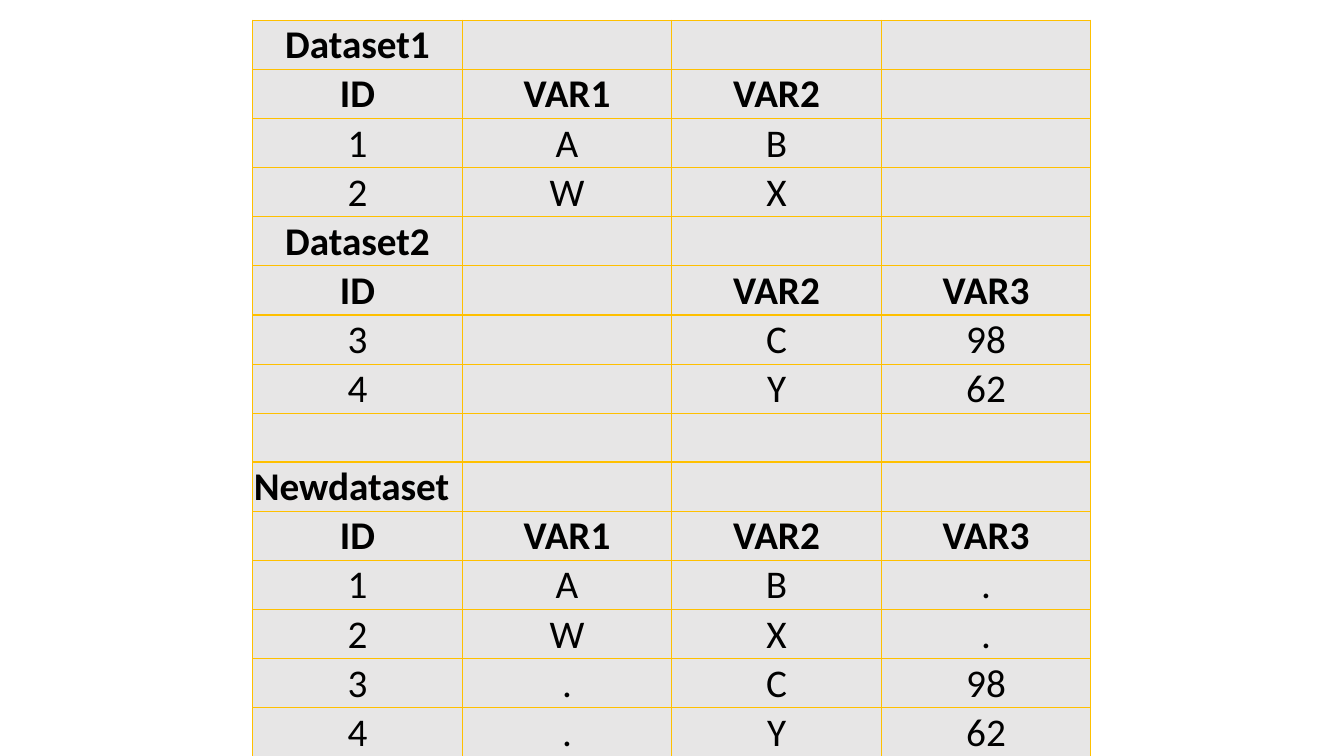
from pptx import Presentation
from pptx.dml.color import RGBColor as Color
from pptx.enum.text import MSO_ANCHOR as Anchor, PP_ALIGN as Align
from pptx.oxml.ns import qn
from pptx.util import Cm, Pt
from lxml.etree import SubElement

DATASETS = [
    ("Dataset1", Align.CENTER, ["ID", "VAR1", "VAR2", ""],
     [["1", "A", "B", ""], ["2", "W", "X", ""]]),
    ("Dataset2", Align.CENTER, ["ID", "", "VAR2", "VAR3"],
     [["3", "", "C", "98"], ["4", "", "Y", "62"], [""] * 4]),
    ("Newdataset", Align.LEFT, ["ID", "VAR1", "VAR2", "VAR3"],
     [["1", "A", "B", "."], ["2", "W", "X", "."],
      ["3", ".", "C", "98"], ["4", ".", "Y", "62"]]),
]

THEME = {"fill": "E7E6E6", "border": "FFC000", "text": "000000",
         "font": "Calibri", "size": 28, "border_width": 1}
SLIDE_WIDTH, SLIDE_HEIGHT = Cm(33.87), Cm(19.05)
LEFT, TOP = Cm(6.37), Cm(0.51)
COLUMN_WIDTH, ROW_HEIGHT = Cm(5.28), Cm(1.23)

CELL_FORMAT = {"margin_left": Cm(0.03), "margin_right": Cm(0.03),
               "margin_top": Cm(0.03), "margin_bottom": 0,
               "vertical_anchor": Anchor.BOTTOM}
TABLE_FORMAT = {"first_row": False, "horz_banding": False}
FONT_FORMAT = {"name": THEME["font"], "size": Pt(THEME["size"])}


def apply_format(target, values):
    for name, value in values.items():
        setattr(target, name, value)


def add_borders(cell):
    properties = cell._tc.get_or_add_tcPr()
    for position, side in enumerate(("lnL", "lnR", "lnT", "lnB")):
        line = properties.makeelement(
            qn(f"a:{side}"), {"w": str(Pt(THEME["border_width"]))})
        properties.insert(position, line)
        fill = SubElement(line, qn("a:solidFill"))
        SubElement(fill, qn("a:srgbClr"), val=THEME["border"])


def fill_cell(cell, text, alignment, bold):
    cell.fill.solid()
    cell.fill.fore_color.rgb = Color.from_string(THEME["fill"])
    add_borders(cell)
    if not text:
        return
    apply_format(cell, CELL_FORMAT)
    paragraph = cell.text_frame.paragraphs[0]
    paragraph.alignment = alignment
    run = paragraph.add_run()
    run.text = text
    apply_format(run.font, FONT_FORMAT | {"bold": bold})
    run.font.color.rgb = Color.from_string(THEME["text"])


table_rows = []
for title, title_alignment, header, records in DATASETS:
    table_rows.append(([title, "", "", ""], title_alignment, True))
    table_rows.append((header, Align.CENTER, True))
    table_rows += [(record, Align.CENTER, False) for record in records]

presentation = Presentation()
apply_format(presentation, {"slide_width": SLIDE_WIDTH, "slide_height": SLIDE_HEIGHT})
slide = presentation.slides.add_slide(presentation.slide_layouts[6])

row_count, column_count = len(table_rows), len(DATASETS[0][2])
table = slide.shapes.add_table(
    row_count, column_count, LEFT, TOP,
    COLUMN_WIDTH * column_count, ROW_HEIGHT * row_count).table
apply_format(table, TABLE_FORMAT)
for column in table.columns:
    column.width = COLUMN_WIDTH
for row, (texts, alignment, bold) in zip(table.rows, table_rows):
    row.height = ROW_HEIGHT
    for cell, text in zip(row.cells, texts):
        fill_cell(cell, text, alignment, bold)

presentation.save("out.pptx")
